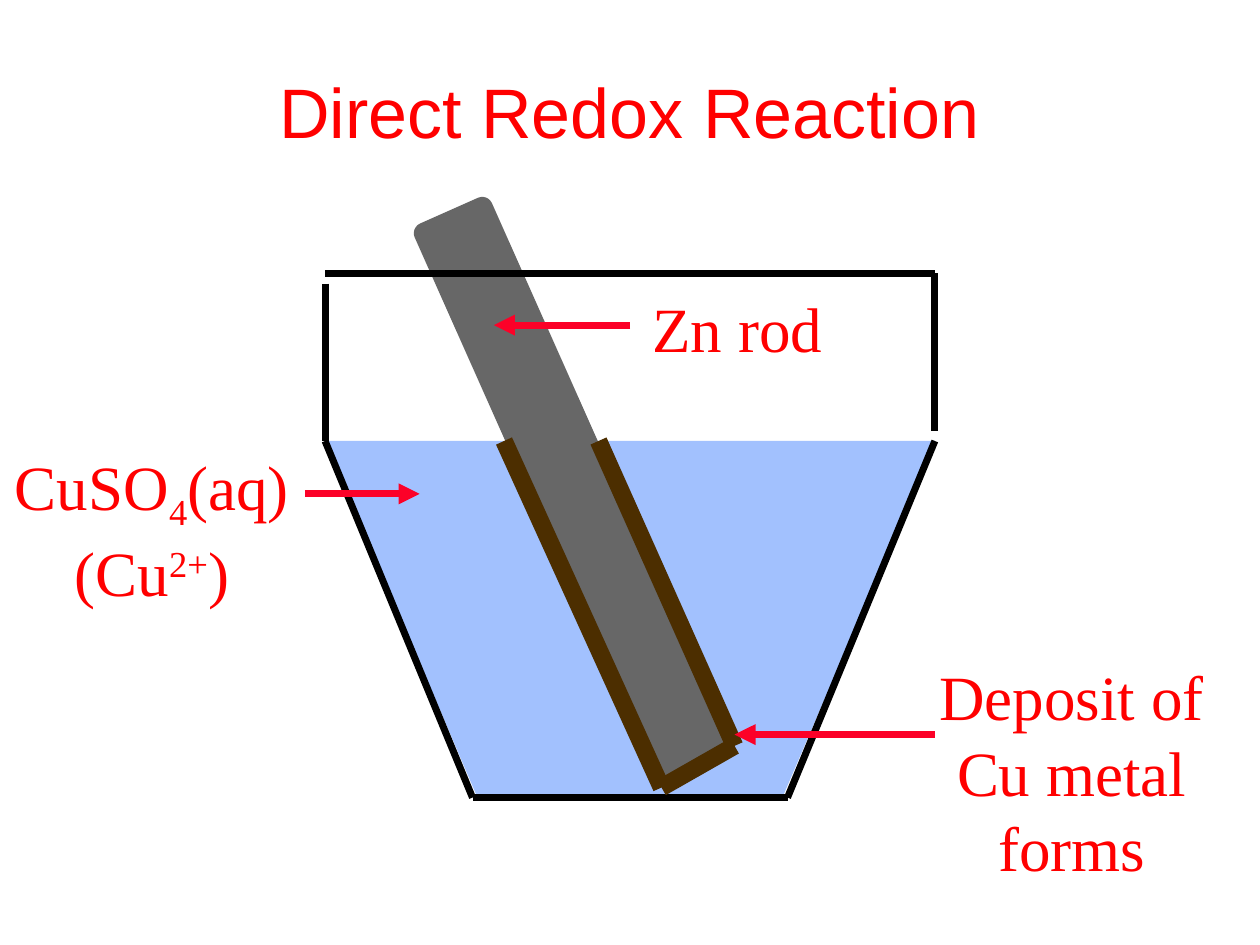
from dataclasses import dataclass
from typing import Any

from lxml.etree import SubElement
from pptx import Presentation
from pptx.dml.color import RGBColor
from pptx.enum.shapes import MSO_CONNECTOR as Connector, MSO_SHAPE as Shape
from pptx.enum.text import MSO_ANCHOR as Anchor, MSO_AUTO_SIZE as AutoSize, PP_ALIGN as Align
from pptx.oxml.ns import qn
from pptx.util import Inches, Pt

COLORS = {
    "water": "A2C1FE",
    "zinc": "676767",
    "glass": "000000",
    "copper": "4C2E00",
    "arrow": "FC0128",
    "text": "FF0000",
}


@dataclass
class Diagram:
    slide: Any
    label_font: str = "Times New Roman"
    label_size: int = 36

    def color(self, name):
        return RGBColor.from_string(COLORS[name])

    def paint(self, shape, fill):
        shape.shadow.inherit = False
        shape.fill.solid()
        shape.fill.fore_color.rgb = self.color(fill)
        shape.line.fill.background()

    def polygon(self, points, fill):
        first, *rest = [(Inches(x), Inches(y)) for x, y in points]
        builder = self.slide.shapes.build_freeform(*first)
        builder.add_line_segments(rest, close=True)
        self.paint(builder.convert_to_shape(), fill)

    def rod(self, left, top, width, height, angle, fill):
        rod = self.slide.shapes.add_shape(
            Shape.ROUNDED_RECTANGLE, Inches(left), Inches(top), Inches(width), Inches(height))
        rod.adjustments[0] = 0.125
        rod.rotation = angle
        self.paint(rod, fill)

    def line(self, start, end, color, width=4, shapes=None, arrow=False):
        shapes = self.slide.shapes if shapes is None else shapes
        line = shapes.add_connector(
            Connector.STRAIGHT, *[Inches(value) for value in (*start, *end)])
        line.line.color.rgb = self.color(color)
        line.line.width = Pt(width)
        if arrow:
            SubElement(line.line._get_or_add_ln(), qn("a:tailEnd"), type="triangle")
        SubElement(line._element.spPr, qn("a:effectLst"))

    def line_group(self, segments, color, width):
        group = self.slide.shapes.add_group_shape()
        for start, end in segments:
            self.line(start, end, color, width, group.shapes)

    def text(self, box, runs, align=Align.CENTER, font=None, size=None, title=False):
        frame = self.slide.shapes.add_textbox(*[Inches(value) for value in box]).text_frame
        frame.word_wrap = True
        frame.auto_size = AutoSize.NONE if title else AutoSize.SHAPE_TO_FIT_TEXT
        frame.vertical_anchor = Anchor.MIDDLE if title else Anchor.TOP
        paragraph = frame.paragraphs[0]
        paragraph.alignment = align
        for wording, baseline in runs:
            run = paragraph.add_run()
            run.text = wording
            run.font.name = font or self.label_font
            run.font.size = Pt(size or self.label_size)
            run.font.color.rgb = self.color("text")
            if baseline:
                run._r.get_or_add_rPr().set("baseline", str(baseline * 1000))


def main():
    deck = Presentation()
    deck.slide_width, deck.slide_height = Inches(10), Inches(7.5)
    diagram = Diagram(deck.slides.add_slide(deck.slide_layouts[6]))

    left, right = 2.58, 7.42
    base_left, base_right = 3.75, 6.25
    rim, surface, base = 2.17, 3.5, 6.33
    rod_left, rod_right = (5.25, 6.25), (5.83, 5.92)

    diagram.polygon(
        [(left, surface), (3.79, base), (6.21, base), (right, surface)], "water")
    diagram.rod(2.14, 3.53, 4.8, 0.67, 66, "zinc")
    diagram.line_group([
        ((left, rim), (right, rim)),
        ((left, 2.25), (left, surface)),
        ((right, rim), (right, 3.42)),
        ((base_left, base), (base_right, base)),
        ((left, surface), (base_left, base)),
        ((right, surface), (base_right, base)),
    ], "glass", 4)
    diagram.line_group([
        ((4, surface), rod_left),
        ((4.75, surface), rod_right),
        (rod_left, rod_right),
    ], "copper", 10)

    diagram.text((0, 3.5, 2.41, 1.3),
                 [("CuSO", 0), ("4", -25), ("(aq) (Cu", 0), ("2+", 30), (")", 0)])
    diagram.line((2.42, 3.92), (3.33, 3.92), "arrow", arrow=True)
    diagram.text((5.08, 2.25, 2.58, 0.7), [("Zn rod", 0)], Align.LEFT)
    diagram.line((5, 2.58), (3.92, 2.58), "arrow", arrow=True)
    diagram.line((right, 5.83), (5.83, 5.83), "arrow", arrow=True)
    diagram.text((7.09, 5.17, 2.83, 1.9), [("Deposit of Cu metal forms", 0)])
    diagram.text((0.33, 0.25, 9.33, 1.25), [("Direct Redox Reaction", 0)],
                 font="Arial", size=40, title=True)

    deck.save("out.pptx")


if __name__ == "__main__":
    main()
